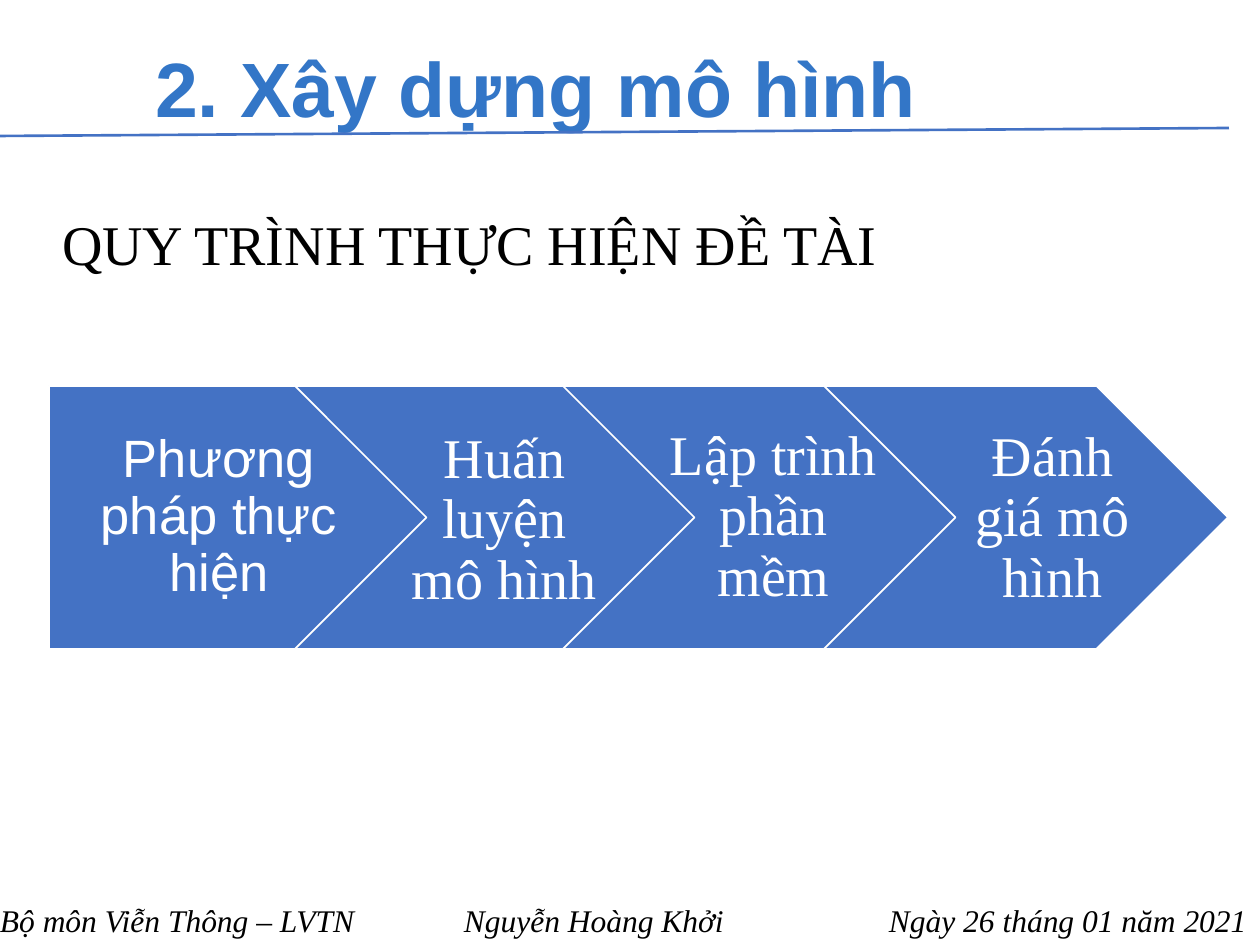
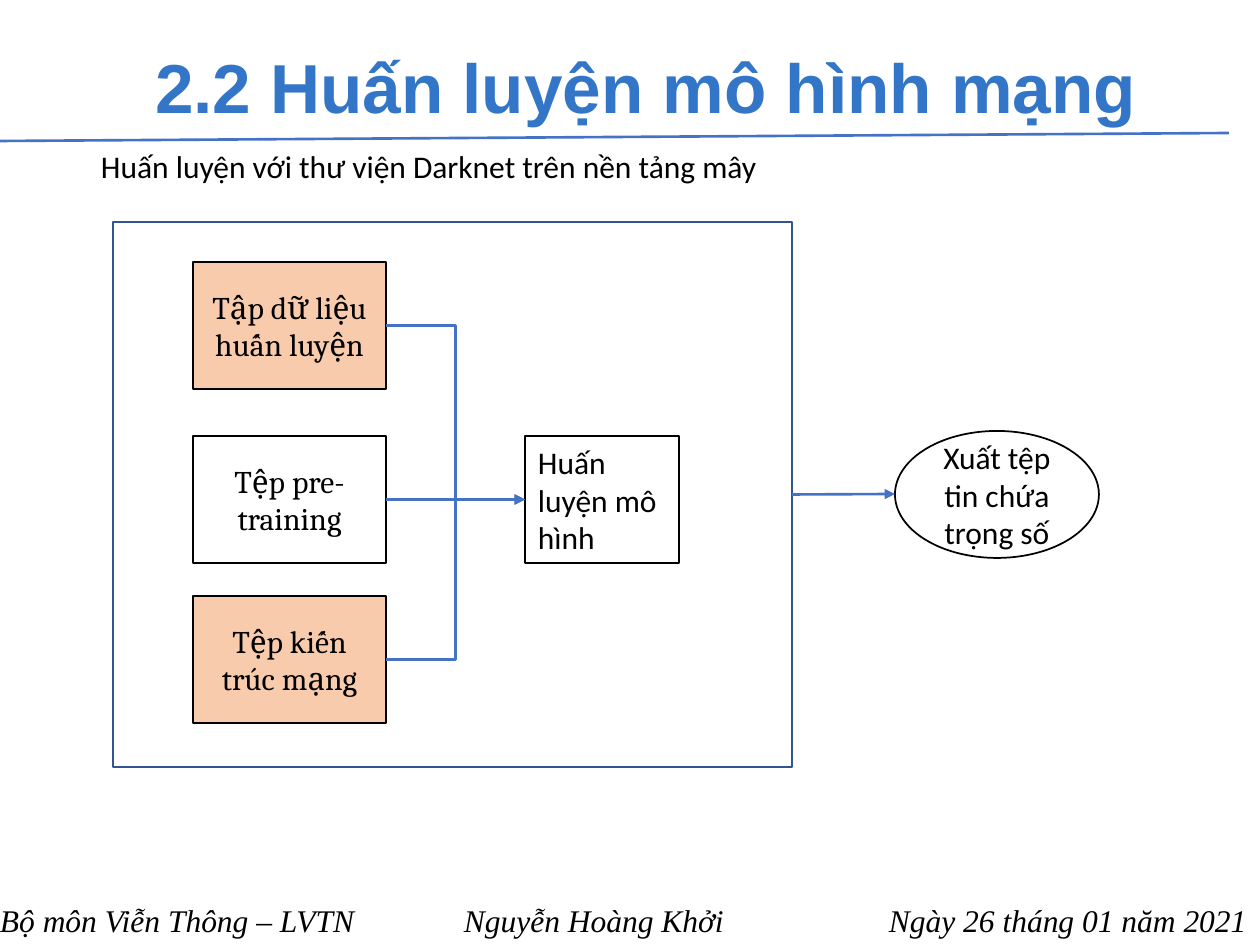
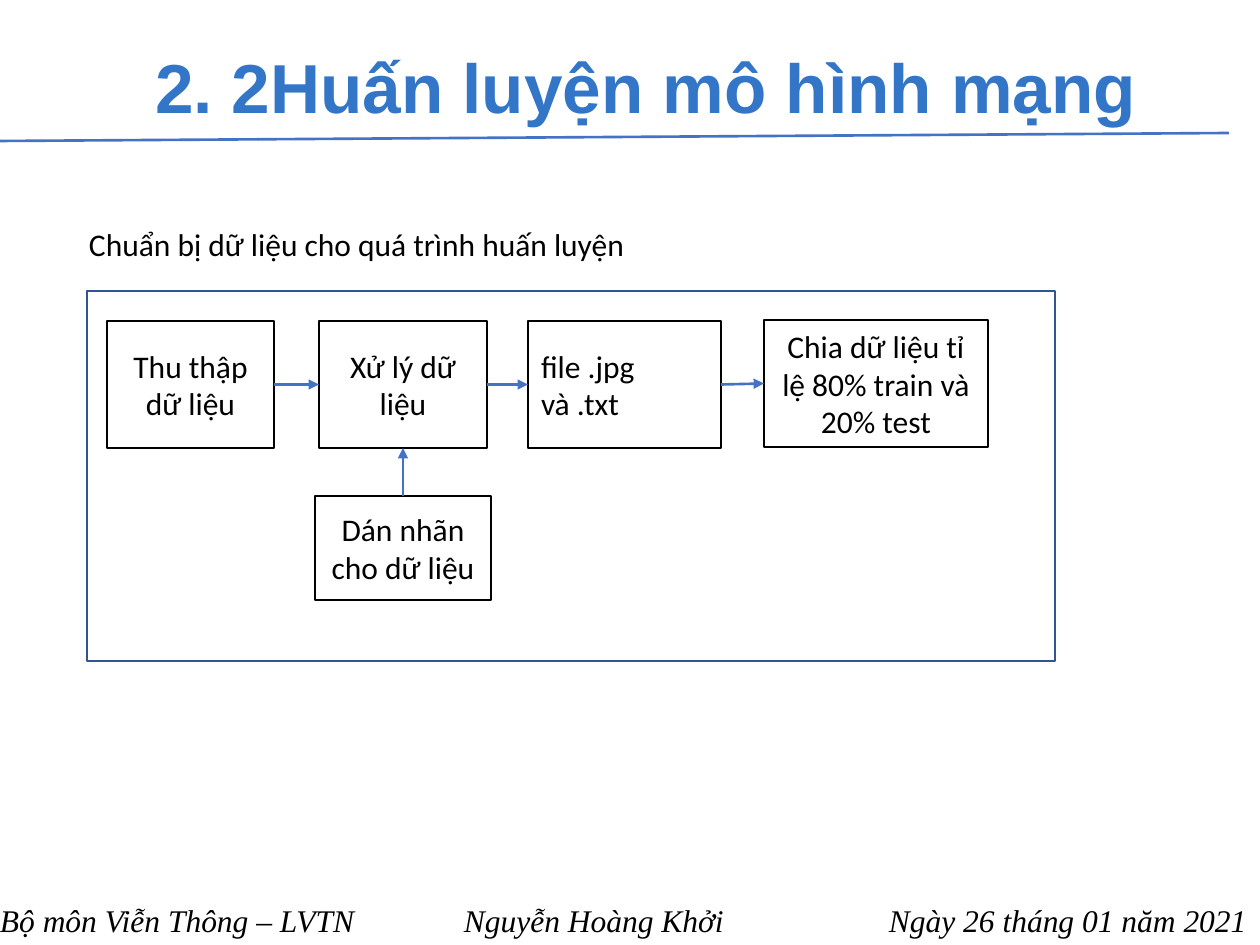
import dataclasses
import typing

import lxml.etree
import pptx
import pptx.dml.color
import pptx.enum.shapes
import pptx.enum.text
import pptx.oxml.ns
import pptx.shapes.autoshape
import pptx.shapes.base
import pptx.shapes.connector
import pptx.slide
import pptx.util

PX = 914400 / 126

BLUE = pptx.dml.color.RGBColor(0x44, 0x72, 0xC4)
TITLE_BLUE = pptx.dml.color.RGBColor(0x33, 0x76, 0xC7)
FRAME_BLUE = pptx.dml.color.RGBColor(0x32, 0x54, 0x91)
PEACH = pptx.dml.color.RGBColor(0xF8, 0xCB, 0xAD)
WHITE = pptx.dml.color.RGBColor(0xFF, 0xFF, 0xFF)
BLACK = pptx.dml.color.RGBColor(0x00, 0x00, 0x00)

SHAPE = pptx.enum.shapes.MSO_SHAPE
CONNECTOR = pptx.enum.shapes.MSO_CONNECTOR
ALIGN = pptx.enum.text.PP_ALIGN
ANCHOR = pptx.enum.text.MSO_ANCHOR
TOP, LEFT, BOTTOM, RIGHT = range(4)

FOOTER = "Bộ môn Viễn Thông – LVTN\tNguyễn Hoàng Khởi\tNgày 26 tháng 01 năm 2021"
FOOTER_TABS = (464, 889)


def emu(px: int) -> pptx.util.Emu:
    return pptx.util.Emu(round(px * PX))


@dataclasses.dataclass(frozen=True)
class Box:
    x: int
    y: int
    w: int
    h: int

    def emus(self) -> list[pptx.util.Emu]:
        return [emu(v) for v in dataclasses.astuple(self)]


@dataclasses.dataclass(frozen=True)
class Style:
    name: str
    size: float
    color: pptx.dml.color.RGBColor = BLACK
    bold: bool = False
    italic: bool = False
    align: typing.Optional[ALIGN] = None
    anchor: ANCHOR = ANCHOR.MIDDLE
    spacing: float = 1.0
    insets: tuple[int, int, int, int] = (13, 6, 13, 6)


@dataclasses.dataclass(frozen=True)
class Node:
    text: str
    box: Box
    style: Style
    fill: pptx.dml.color.RGBColor = WHITE
    kind: SHAPE = SHAPE.RECTANGLE


@dataclasses.dataclass(frozen=True)
class Step:
    kind: SHAPE
    box: Box
    text: str
    text_box: Box
    style: Style


TITLE = Style("Arial", 44, TITLE_BLUE, bold=True, spacing=0.9)
SUBTITLE = dataclasses.replace(TITLE, size=39.6)
HEADING = Style("Times New Roman", 32, anchor=ANCHOR.TOP)
FOOTER_STYLE = Style("Times New Roman", 18, italic=True, anchor=ANCHOR.TOP)
CAPTION = Style("Calibri", 18, anchor=ANCHOR.TOP)
NODE_LEFT = Style("Calibri", 18)
NODE = dataclasses.replace(NODE_LEFT, align=ALIGN.CENTER)
INPUT = dataclasses.replace(NODE, name="Cambria")
STEP = Style("Times New Roman", 32, WHITE, align=ALIGN.CENTER, spacing=0.9,
             insets=(25, 16, 9, 16))
FIRST_STEP = dataclasses.replace(STEP, name="Arial", size=30, insets=(21, 11, 5, 11))

STEPS = [
    Step(SHAPE.PENTAGON, Box(49, 386, 389, 263), "Phương pháp thực hiện",
         Box(49, 386, 324, 263), FIRST_STEP),
    Step(SHAPE.CHEVRON, Box(295, 386, 404, 263), "Huấn luyện mô hình",
         Box(375, 389, 243, 263), STEP),
    Step(SHAPE.CHEVRON, Box(563, 386, 404, 263), "Lập trình phần mềm",
         Box(644, 386, 243, 263), STEP),
    Step(SHAPE.CHEVRON, Box(824, 386, 404, 263), "Đánh giá mô hình",
         Box(935, 381, 219, 275), STEP),
]

TRAIN = Node("Huấn luyện mô hình", Box(525, 436, 154, 127), NODE_LEFT)
EXPORT = Node("Xuất tệp tin chứa trọng số", Box(895, 431, 204, 127), NODE, kind=SHAPE.OVAL)
INPUTS = [
    Node("Tập dữ liệu huấn luyện", Box(193, 262, 193, 127), INPUT, PEACH),
    Node("Tệp pre-training", Box(193, 436, 193, 127), INPUT),
    Node("Tệp kiến trúc mạng", Box(193, 596, 193, 127), INPUT, PEACH),
]

LABEL = Node("Dán nhãn cho dữ liệu", Box(315, 496, 176, 104), NODE)
DATA_STEPS = [
    Node("Thu thập dữ liệu", Box(107, 321, 167, 127), NODE),
    Node("Xử lý dữ liệu", Box(319, 321, 168, 127), NODE),
    Node("file .jpg và .txt", Box(528, 321, 193, 127), NODE_LEFT),
    Node("Chia dữ liệu tỉ lệ 80% train và 20% test", Box(764, 320, 224, 127), NODE),
]


def write(sp: pptx.shapes.autoshape.Shape, text: str, style: Style) -> None:
    tf = sp.text_frame
    left, top, right, bottom = map(emu, style.insets)
    frame_format = {
        "word_wrap": True,
        "vertical_anchor": style.anchor,
        "margin_left": left,
        "margin_top": top,
        "margin_right": right,
        "margin_bottom": bottom,
    }
    p = tf.paragraphs[0]
    r = p.add_run()
    r.text = text
    font_format = {
        "name": style.name,
        "size": pptx.util.Pt(style.size),
        "bold": style.bold,
        "italic": style.italic,
    }
    paragraph_format = {"alignment": style.align or ALIGN.LEFT, "line_spacing": style.spacing}
    for target, values in ((tf, frame_format), (p, paragraph_format), (r.font, font_format)):
        for key, value in values.items():
            setattr(target, key, value)
    r.font.color.rgb = style.color


def add_text(s: pptx.slide.Slide, box: Box, text: str, style: Style) -> pptx.shapes.autoshape.Shape:
    sp = s.shapes.add_textbox(*box.emus())
    write(sp, text, style)
    return sp


def add_outline(
    s: pptx.slide.Slide,
    kind: SHAPE,
    box: Box,
    fill: typing.Optional[pptx.dml.color.RGBColor],
    line: pptx.dml.color.RGBColor,
) -> pptx.shapes.autoshape.Shape:
    sp = s.shapes.add_shape(kind, *box.emus())
    sp.shadow.inherit = False
    if fill is None:
        sp.fill.background()
    else:
        sp.fill.solid()
        sp.fill.fore_color.rgb = fill
    sp.line.color.rgb = line
    sp.line.width = pptx.util.Pt(1)
    return sp


def add_node(s: pptx.slide.Slide, node: Node) -> pptx.shapes.autoshape.Shape:
    sp = add_outline(s, node.kind, node.box, node.fill, BLACK)
    write(sp, node.text, node.style)
    return sp


def add_line(
    s: pptx.slide.Slide,
    start: tuple[int, int] = (0, 0),
    end: tuple[int, int] = (0, 0),
    kind: CONNECTOR = CONNECTOR.STRAIGHT,
    arrow: bool = False,
) -> pptx.shapes.connector.Connector:
    cx = s.shapes.add_connector(kind, *map(emu, start + end))
    cx.line.color.rgb = BLUE
    cx.line.width = pptx.util.Pt(1.5)
    qn = pptx.oxml.ns.qn
    sp_pr = cx._element.spPr
    if arrow:
        lxml.etree.SubElement(sp_pr.find(qn("a:ln")), qn("a:tailEnd"), type="triangle")
    lxml.etree.SubElement(sp_pr, qn("a:effectLst"))
    return cx


def join(
    s: pptx.slide.Slide,
    source: pptx.shapes.base.BaseShape,
    source_side: int,
    target: pptx.shapes.base.BaseShape,
    target_side: int,
    kind: CONNECTOR = CONNECTOR.STRAIGHT,
) -> None:
    cx = add_line(s, kind=kind, arrow=True)
    cx.begin_connect(source, source_side)
    cx.end_connect(target, target_side)


def add_footer(s: pptx.slide.Slide) -> None:
    sp = add_text(s, Box(-13, 895, 1337, 50), FOOTER, FOOTER_STYLE)
    qn = pptx.oxml.ns.qn
    p_pr = sp.text_frame.paragraphs[0]._p.get_or_add_pPr()
    tabs = lxml.etree.SubElement(p_pr, qn("a:tabLst"))
    for stop in FOOTER_TABS:
        lxml.etree.SubElement(tabs, qn("a:tab"), pos=str(emu(stop)), algn="l")


def new_slide(
    prs: pptx.presentation.Presentation, title: str, box: Box, style: Style, rule_y: int
) -> pptx.slide.Slide:
    s = prs.slides.add_slide(prs.slide_layouts[6])
    add_text(s, box, title, style)
    add_line(s, (0, rule_y), (1229, rule_y - 8))
    add_footer(s)
    return s


def build_process(prs: pptx.presentation.Presentation) -> None:
    s = new_slide(prs, "2. Xây dựng mô hình", Box(142, 44, 1143, 97), TITLE, 136)
    add_text(s, Box(49, 204, 886, 81), "QUY TRÌNH THỰC HIỆN ĐỀ TÀI", HEADING)
    for step in STEPS:
        add_outline(s, step.kind, step.box, BLUE, WHITE)
        add_text(s, step.text_box, step.text, step.style)


def build_training(prs: pptx.presentation.Presentation) -> None:
    s = new_slide(prs, "2.2 Huấn luyện mô hình mạng", Box(142, 44, 1241, 93), SUBTITLE, 141)
    add_text(s, Box(88, 141, 916, 50),
             "Huấn luyện với thư viện Darknet trên nền tảng mây", CAPTION)
    train = add_node(s, TRAIN)
    add_node(s, EXPORT)
    inputs = [add_node(s, node) for node in INPUTS]
    frame = add_outline(s, SHAPE.RECTANGLE, Box(113, 222, 679, 545), None, FRAME_BLUE)
    for sp in inputs:
        join(s, sp, RIGHT, train, LEFT, CONNECTOR.ELBOW)
    export_y = EXPORT.box.y + EXPORT.box.h // 2
    cx = add_line(s, (792, export_y), (EXPORT.box.x, export_y), arrow=True)
    cx.begin_connect(frame, RIGHT)


def build_data(prs: pptx.presentation.Presentation) -> None:
    s = new_slide(prs, "2. 2Huấn luyện mô hình mạng", Box(142, 44, 1063, 93), SUBTITLE, 141)
    add_text(s, Box(76, 219, 813, 50), "Chuẩn bị dữ liệu cho quá trình huấn luyện", CAPTION)
    steps = [add_node(s, node) for node in DATA_STEPS]
    label = add_node(s, LABEL)
    add_outline(s, SHAPE.RECTANGLE, Box(87, 291, 968, 370), None, FRAME_BLUE)
    for source, target in zip(steps, steps[1:]):
        join(s, source, RIGHT, target, LEFT)
    join(s, label, TOP, steps[1], BOTTOM)


def main() -> None:
    prs = pptx.Presentation()
    prs.slide_width, prs.slide_height = emu(1260), emu(945)
    for build in (build_process, build_training, build_data):
        build(prs)
    prs.save("out.pptx")


if __name__ == "__main__":
    main()
